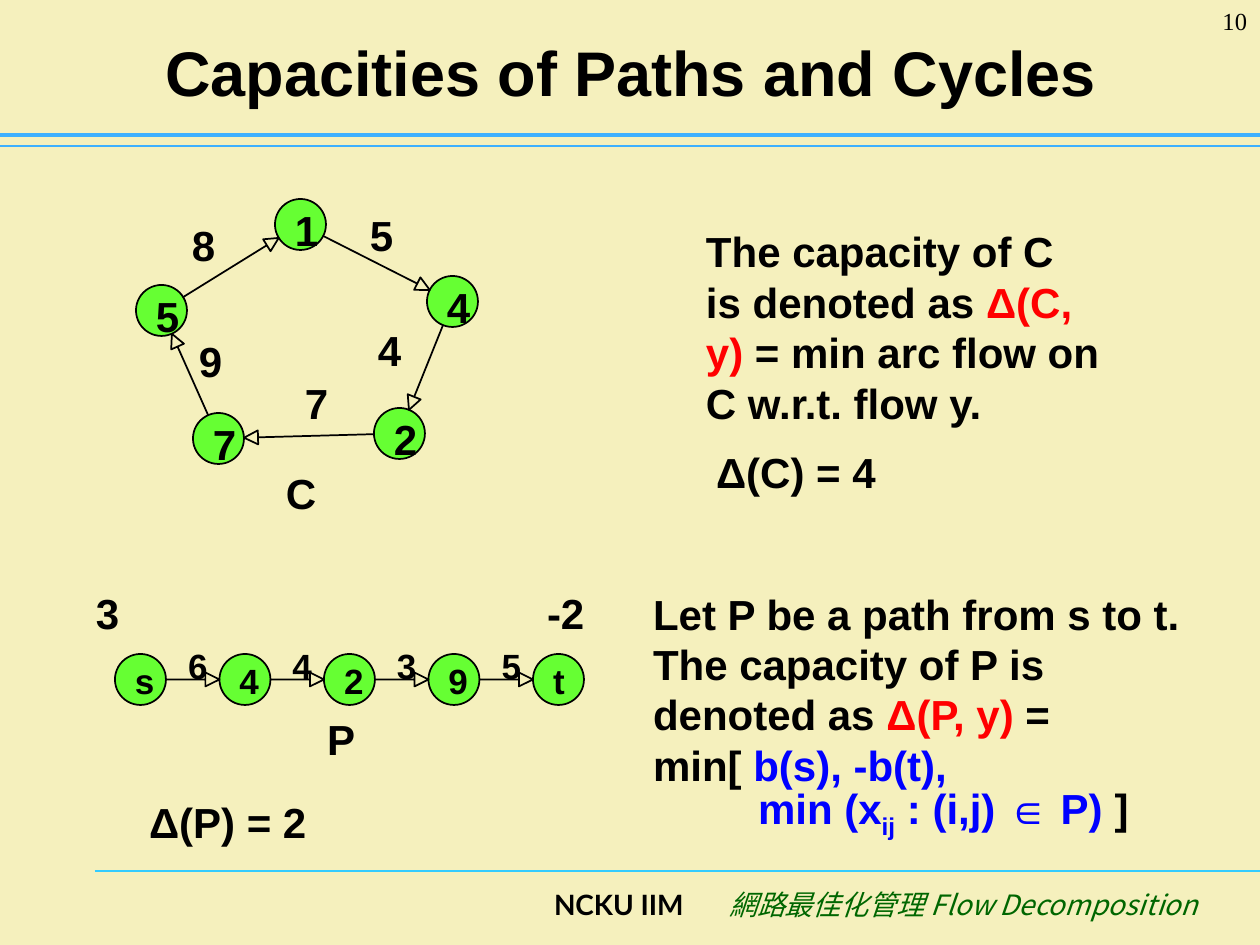
from math import hypot

from lxml.etree import SubElement
from pptx import Presentation
from pptx.dml.color import RGBColor
from pptx.enum.shapes import MSO_CONNECTOR as Connector, MSO_SHAPE as Preset
from pptx.enum.text import MSO_ANCHOR as Anchor, PP_ALIGN as Align
from pptx.oxml.ns import qn
from pptx.util import Emu, Pt

BLACK, RED, BLUE, GREEN = "000000", "FF0000", "0000FF", "006600"
BACKGROUND, NODE_FILL = "F5F0BD", "66FF33"
TITLE = "Capacities of Paths and Cycles"
DIAMETER, HEAD_LENGTH, HEAD_HALF = 51, 14, 7
NODE_LABEL_X, NODE_LABEL_Y = 20, 6

RULES = [
    (95, 871, 1260, "33CCFF", 0.75),
    (0, 146, 1260, "3DB0FF", 0.75),
    (0, 135, 1260, "3DB0FF", 2.5),
]
CYCLE_NODES = [("1", 275, 199), ("4", 427, 276), ("2", 374, 408), ("7", 193, 413), ("5", 136, 285)]
CYCLE_FLOWS = [("5", 370, 210), ("4", 378, 325), ("7", 305, 378), ("9", 199, 336), ("8", 192, 220)]
PATH_NAMES, PATH_FLOWS = ["s", "4", "2", "9", "t"], ["6", "4", "3", "5"]
PATH_LEFT, PATH_TOP, PATH_LAST = 115, 654, 533
PATH_FLOW_X, PATH_FLOW_Y = 73, -9

NOTES = [
    (273, 462, 84, 63, [[("C", BLACK)]]),
    (314, 708, 84, 63, [[("P", BLACK)]]),
    (83, 582, 105, 63, [[("3", BLACK)]]),
    (534, 582, 105, 63, [[("-2", BLACK)]]),
    (136, 791, 420, 63, [[("Δ(P) = 2", BLACK)]]),
    (703, 441, 420, 63, [[("Δ(C) = 4", BLACK)]]),
    (693, 220, 420, 214, [[
        ("The capacity of C is denoted as ", BLACK),
        ("Δ(C, y)", RED),
        (" = min arc flow on C w.r.t. flow y.", BLACK),
    ]]),
    (640, 582, 588, 272, [
        [("Let P be a path from s to t.", BLACK)],
        [("The capacity of P is denoted as ", BLACK), ("Δ(P, y)", RED), (" =", BLACK)],
        [("min[ ", BLACK), ("b(s), -b(t),", BLUE)],
        [("min (x", BLUE), ("ij", BLUE), (" : (i,j) ∈ P)", BLUE), (" ]", BLACK)],
    ]),
]


def px(value):
    return Emu(round(value * 914400 / 126))


def color(value):
    return RGBColor.from_string(value)


def style(font, size, name="Arial", bold=True, italic=False):
    font.size, font.name, font.bold, font.italic = Pt(size), name, bold, italic


def add_text(left, top, width, height, lines, size=24, name="Arial", bold=True,
             italic=False, align=Align.LEFT, inset=(13, 6), wrap=True, spacing=1.2):
    box = slide.shapes.add_textbox(px(left), px(top), px(width), px(height))
    frame = box.text_frame
    frame.word_wrap = wrap
    frame.margin_left = frame.margin_right = px(inset[0])
    frame.margin_top = frame.margin_bottom = px(inset[1])
    for index, runs in enumerate(lines):
        paragraph = frame.add_paragraph() if index else frame.paragraphs[0]
        paragraph.alignment = align
        if spacing:
            paragraph.line_spacing = Pt(size * spacing)
        style(paragraph.font, size, name, bold, italic)
        for text, fill in runs:
            run = paragraph.add_run()
            run.text = text
            run.font.color.rgb = color(fill)
    return frame


def add_label(text, left, top, size):
    add_text(left, top, size, size * 2, [[(text, BLACK)]], size, inset=(0, 0), wrap=False)


def add_node(name, left, top, size):
    node = slide.shapes.add_shape(Preset.OVAL, px(left), px(top), px(DIAMETER), px(DIAMETER))
    node.shadow.inherit = False
    node.fill.solid()
    node.fill.fore_color.rgb = color(NODE_FILL)
    node.line.color.rgb = color(BLACK)
    node.line.width = Pt(1)
    add_label(name, left + NODE_LABEL_X, top + NODE_LABEL_Y, size)


def add_arc(tail, head):
    radius = DIAMETER / 2
    dx, dy = head[1] - tail[1], head[2] - tail[2]
    length = hypot(dx, dy)
    ux, uy = dx / length, dy / length

    def point(along, across=0):
        return (px(tail[1] + radius + ux * along - uy * across),
                px(tail[2] + radius + uy * along + ux * across))

    tip = length - radius
    base = tip - HEAD_LENGTH
    builder = slide.shapes.build_freeform(*point(radius))
    builder.add_line_segments(
        [point(base), point(base, HEAD_HALF), point(tip), point(base, -HEAD_HALF), point(base)],
        close=True)
    arc = builder.convert_to_shape()
    arc.shadow.inherit = False
    arc.fill.background()
    arc.line.color.rgb = color(BLACK)
    arc.line.width = Pt(1)


presentation = Presentation()
presentation.slide_width, presentation.slide_height = px(1260), px(945)
slide = presentation.slides.add_slide(presentation.slide_layouts[5])
slide.background.fill.solid()
slide.background.fill.fore_color.rgb = color(BACKGROUND)

for left, top, right, fill, weight in RULES:
    rule = slide.shapes.add_connector(Connector.STRAIGHT, px(left), px(top), px(right), px(top))
    rule.line.color.rgb = color(fill)
    rule.line.width = Pt(weight)
    SubElement(rule._element.spPr, qn("a:effectLst"))

title = slide.shapes.title
title.left, title.top, title.width, title.height = px(64), px(16), px(1134), px(110)
title.text_frame.text = TITLE
title.text_frame.vertical_anchor = Anchor.MIDDLE
heading = title.text_frame.paragraphs[0]
heading.alignment = Align.CENTER
style(heading.font, 36)
heading.font.color.rgb = color(BLACK)

step = (PATH_LAST - PATH_LEFT) / (len(PATH_NAMES) - 1)
path_nodes = [(name, PATH_LEFT + step * index, PATH_TOP) for index, name in enumerate(PATH_NAMES)]
path_flows = [(flow, node[1] + PATH_FLOW_X, PATH_TOP + PATH_FLOW_Y)
              for flow, node in zip(PATH_FLOWS, path_nodes)]
cycle_arcs = zip(CYCLE_NODES, CYCLE_NODES[1:] + CYCLE_NODES[:1])
path_arcs = zip(path_nodes, path_nodes[1:])

for nodes, arcs, flows, size in [(path_nodes, path_arcs, path_flows, 20),
                                 (CYCLE_NODES, cycle_arcs, CYCLE_FLOWS, 24)]:
    for node in nodes:
        add_node(*node, size)
    for tail, head in arcs:
        add_arc(tail, head)
    for flow in flows:
        add_label(*flow, size)

for left, top, width, height, lines in NOTES:
    note = add_text(left, top, width, height, lines)

formula = note.paragraphs[-1]
formula._p.get_or_add_pPr().set("marL", str(px(105)))
formula.runs[1].font._element.set("baseline", "-25000")

add_text(541, 882, 180, 63, [[("NCKU IIM", BLACK)]], 16, "Lato", spacing=None)
footer = add_text(641, 882, 570, 63, [[("網路最佳化管理 Flow Decomposition", GREEN)]], 16,
                  "Noto Sans CJK SC", False, True, Align.RIGHT, spacing=None)
SubElement(footer.paragraphs[0].runs[0].font._element, qn("a:ea"), typeface="Noto Sans CJK SC")
add_text(1155, 0, 105, 63, [[("10", BLACK)]], 14, "Times New Roman", False,
         align=Align.RIGHT, spacing=None)

presentation.save("out.pptx")
